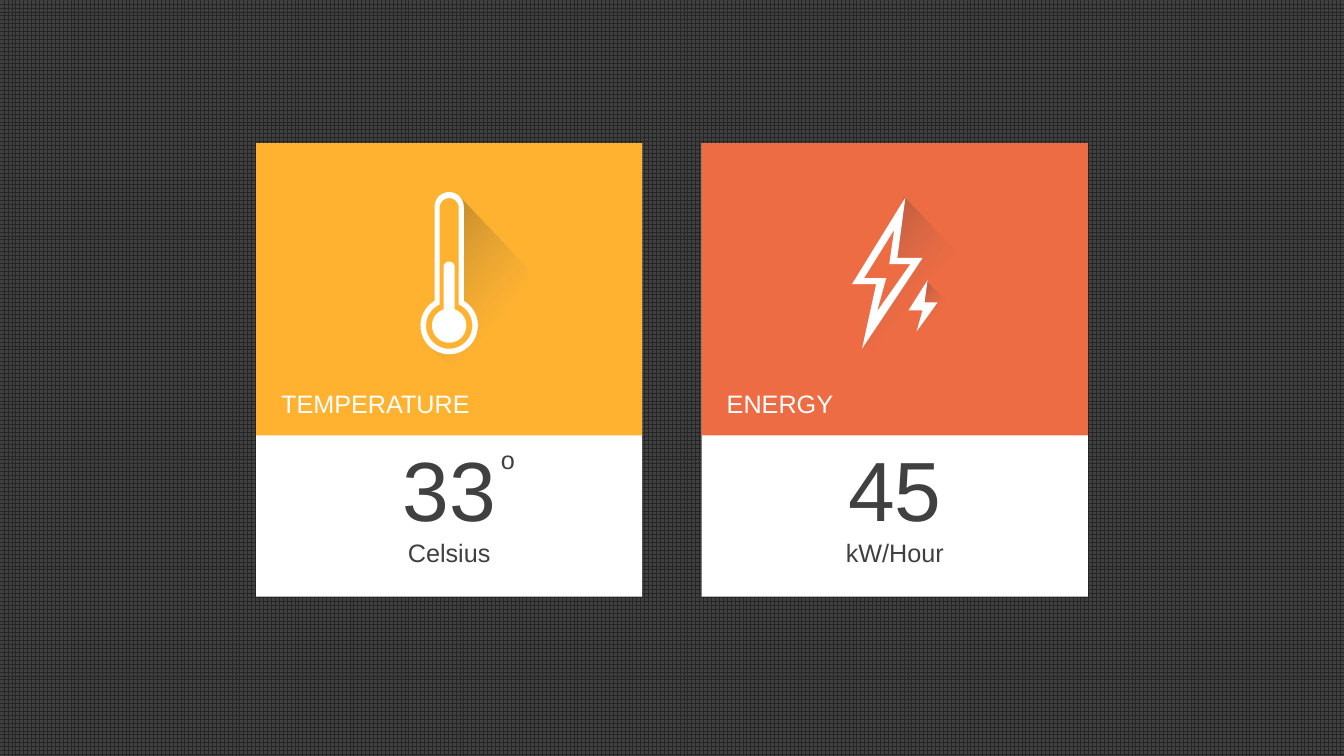
import math
from lxml import etree
from pptx import Presentation
from pptx import util as u
from pptx.dml.color import RGBColor
from pptx.enum import dml, shapes, text
from pptx.oxml.ns import qn

COLORS = {"white": "FFFFFF", "ink": "404040", "grid": "262626", "amber": "FFB230",
          "coral": "ED6C44", "shade": "000000", "fade": "6B6B6B"}
FONT = "Arial"

# Card grid, in inches
CARD_LEFT, CARD_TOP, CARD_STEP = 2.54, 1.42, 4.42
CARD_WIDTH, CARD_HEIGHT, HEADER_HEIGHT = 3.83, 4.5, 2.9
LABEL_TOP, VALUE_TOP, UNIT_TOP = 3.8, 4.29, 5.28
SHADOW_TILT = -4.3

# Icon outlines, in inches on the page
THERMOMETER_SHADOW = [(4.28, 3.46), (5.57, 4.68), (5.78, 4.05), (5.37, 3.56), (5.25, 3.09),
                      (5.23, 2.66), (4.56, 1.95), (4.57, 2.97), (4.67, 3.09), (4.71, 3.24),
                      (4.67, 3.39), (4.52, 3.48), (4.42, 3.49)]
BOLT_SHADOW = [(8.56, 3.45), (9.39, 4.28), (9.64, 2.66), (8.97, 1.95), (8.89, 2.58), (9.14, 2.56)]
SPARK_SHADOW = [(9.09, 3.29), (9.38, 3.58), (9.44, 3.03), (9.19, 2.79), (9.15, 3.01), (9.29, 3)]
BOLT = [(8.98, 1.96), (8.9, 2.56), (9.15, 2.56), (8.55, 3.46), (8.69, 2.82), (8.45, 2.82)]
BOLT_HOLE = [(8.87, 2.28), (8.57, 2.76), (8.79, 2.76), (8.7, 3.09), (9.03, 2.62), (8.82, 2.62)]
SPARK = [(9.2, 2.78), (9.17, 3), (9.3, 3), (9.09, 3.29), (9.15, 3.08), (9.01, 3.08)]


def rgb(name):
    return RGBColor.from_string(COLORS[name])


def paint(shape, color):
    shape.shadow.inherit = False
    shape.line.fill.background()
    shape.fill.solid()
    shape.fill.fore_color.rgb = rgb(color)


def add_panel(group, left, height, color):
    panel = group.shapes.add_shape(shapes.MSO_SHAPE.RECTANGLE, u.Inches(left), u.Inches(CARD_TOP),
                                   u.Inches(CARD_WIDTH), u.Inches(height))
    paint(panel, color)


def add_text(group, words, left, top, width, size, color, align=text.PP_ALIGN.LEFT):
    height = 1.11 if size == 60 else 0.4
    box = group.shapes.add_textbox(*(u.Inches(n) for n in (left, top, width, height)))
    box.text_frame.word_wrap = False
    box.text_frame.auto_size = text.MSO_AUTO_SIZE.SHAPE_TO_FIT_TEXT
    para = box.text_frame.paragraphs[0]
    para.text, para.alignment = words, align
    para.font.name, para.font.size = FONT, u.Pt(size)
    para.font.color.rgb = rgb(color)


def add_outline(group, *contours):
    # The builder keeps whole units only, so points are given in EMU
    first, *holes = [[(u.Inches(x), u.Inches(y)) for x, y in contour] for contour in contours]
    builder = group.shapes.build_freeform(*first[0])
    builder.add_line_segments(first[1:], close=True)
    for hole in holes:
        builder.move_to(*hole[0])
        builder.add_line_segments(hole[1:], close=True)
    outline = builder.convert_to_shape()
    paint(outline, "white")
    return outline


def turn(points, degrees):
    """Turn points about the middle of their bounding box."""
    mid_x, mid_y = ((min(axis) + max(axis)) / 2 for axis in zip(*points))
    cos, sin = math.cos(math.radians(degrees)), math.sin(math.radians(degrees))
    return [(mid_x + (x - mid_x) * cos - (y - mid_y) * sin,
             mid_y + (x - mid_x) * sin + (y - mid_y) * cos) for x, y in points]


def add_long_shadow(group, points):
    shadow = add_outline(group, turn(points, -SHADOW_TILT))
    shadow.rotation = SHADOW_TILT
    shadow.fill.gradient()
    shadow.fill.gradient_angle = 315
    stops = zip(shadow.fill.gradient_stops, ("shade", "fade"), (0, 0.46))
    for stop, color, position in stops:
        stop.color.rgb, stop.position = rgb(color), position
    for tone, alpha in zip(shadow.element.iter(qn("a:srgbClr")), (33000, 0)):
        etree.SubElement(tone, qn("a:alpha")).set("val", str(alpha))


def arc(x, y, radius, start, end, steps):
    angles = (math.radians(start + (end - start) * i / steps) for i in range(steps + 1))
    return [(x + radius * math.cos(a), y + radius * math.sin(a)) for a in angles]


def thermometer(bulb, stem, cap_y):
    """Outline of a bulb radius joined to a round-capped stem of half-width stem."""
    x, bulb_y = CARD_LEFT + CARD_WIDTH / 2, 3.23
    joint = math.degrees(math.acos(stem / bulb))
    return arc(x, cap_y, stem, 180, 360, 16) + arc(x, bulb_y, bulb, -joint, 180 + joint, 36)


def add_card(page, column, color, label, label_width, value, unit, unit_width):
    left = CARD_LEFT + column * CARD_STEP
    middle = left + CARD_WIDTH / 2
    center = text.PP_ALIGN.CENTER
    group = page.shapes.add_group_shape()
    add_panel(group, left, CARD_HEIGHT, "white")
    add_panel(group, left, HEADER_HEIGHT, color)
    add_text(group, label, left + 0.15, LABEL_TOP, label_width, 18, "white")
    add_text(group, value, middle - 1.625, VALUE_TOP, 3.25, 60, "ink", center)
    add_text(group, unit, middle - unit_width / 2, UNIT_TOP, unit_width, 18, "ink", center)
    return group


def main():
    deck = Presentation()
    deck.slide_width, deck.slide_height = u.Inches(13.33), u.Inches(7.5)
    page = deck.slides.add_slide(deck.slide_layouts[6])

    # Grid background
    backdrop = page.background.fill
    backdrop.patterned()
    backdrop.pattern = dml.MSO_PATTERN.LARGE_GRID
    backdrop.fore_color.rgb, backdrop.back_color.rgb = rgb("grid"), rgb("ink")

    # Temperature card
    card = add_card(page, 0, "amber", "TEMPERATURE", 2.09, "33", "Celsius", 2.43)
    add_text(card, "o", 4.87, 4.36, 0.34, 18, "ink")
    add_long_shadow(card, THERMOMETER_SHADOW)
    add_outline(card, thermometer(0.285, 0.145, 2.05), thermometer(0.23, 0.095, 2.06)[::-1])
    add_outline(card, thermometer(0.17, 0.055, 2.65))

    # Energy card
    card = add_card(page, 1, "coral", "ENERGY", 1.27, "45", "kW/Hour", 2.79)
    add_long_shadow(card, BOLT_SHADOW)
    add_long_shadow(card, SPARK_SHADOW)
    add_outline(card, BOLT, BOLT_HOLE)
    add_outline(card, SPARK)

    deck.save("out.pptx")


if __name__ == "__main__":
    main()
